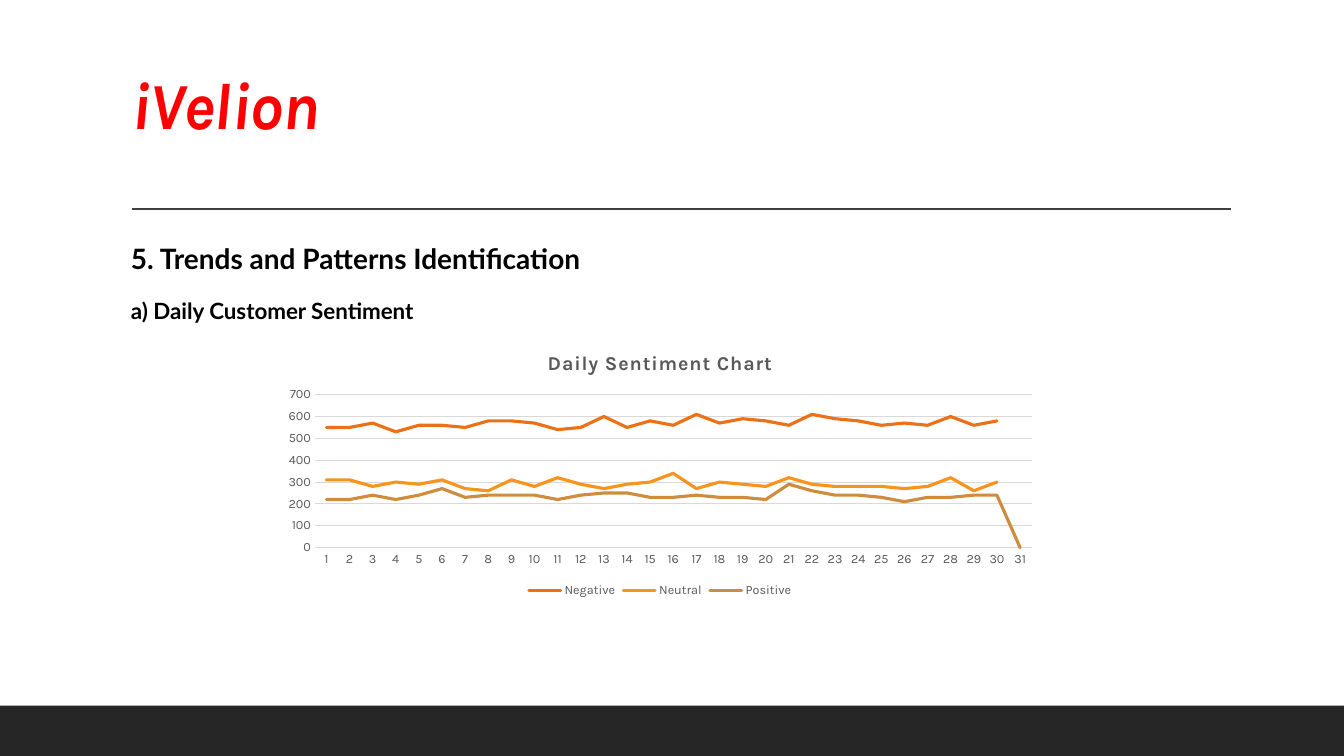
import pptx
import pptx.chart.data
import pptx.dml.color
import pptx.enum.chart
import pptx.enum.shapes
import pptx.enum.text
import pptx.oxml
import pptx.util
from dataclasses import dataclass
from pptx.util import Cm, Pt


@dataclass(frozen=True)
class Theme:
    red: str = "FF0000"
    black: str = "000000"
    band: str = "262626"
    rule: str = "404040"
    grey: str = "595959"
    grid: str = "D9D9D9"
    lines: tuple = ("EC7016", "F8931D", "CE8D3E")
    head: str = "Karla"
    body: str = "Lato"
    title: float = 47
    topic: float = 20
    sub: float = 16
    chart: float = 14
    label: float = 9


theme = Theme()


def rgb(code):
    return pptx.dml.color.RGBColor.from_string(code)


def style(font, name, size, color, bold=False):
    font.name, font.size, font.bold = name, Pt(size), bold
    font.color.rgb = rgb(color)


deck = pptx.Presentation()
deck.slide_width, deck.slide_height = Cm(33.87), Cm(19.05)
slide = deck.slides.add_slide(deck.slide_layouts[5])
shapes = slide.shapes

# Footer band and rule
band = shapes.add_shape(pptx.enum.shapes.MSO_SHAPE.RECTANGLE,
                        0, Cm(17.78), deck.slide_width, Cm(1.27))
band.shadow.inherit = False
band.fill.solid()
band.fill.fore_color.rgb = rgb(theme.band)
band.line.fill.background()

rule = shapes.add_connector(pptx.enum.shapes.MSO_CONNECTOR.STRAIGHT,
                            Cm(3.33), Cm(5.27), Cm(31.01), Cm(5.27))
rule.line.color.rgb = rgb(theme.rule)
rule.line.width = Pt(1)
rule._element.spPr.append(pptx.oxml.parse_xml(
    '<a:effectLst xmlns:a="http://schemas.openxmlformats.org/drawingml/2006/main"/>'))

# Title
title = shapes.title
title.left, title.top, title.width, title.height = Cm(3.05), Cm(0.79), Cm(27.94), Cm(2.97)
frame = title.text_frame
frame.text = "iVelion"
frame.word_wrap = True
frame.auto_size = pptx.enum.text.MSO_AUTO_SIZE.NONE
frame.vertical_anchor = pptx.enum.text.MSO_ANCHOR.BOTTOM
para = frame.paragraphs[0]
para.alignment = pptx.enum.text.PP_ALIGN.LEFT
para.line_spacing = 0.9
style(para.font, theme.head, theme.title, theme.red, True)
para.font.italic = True
para.runs[0].font._element.set("spc", "-50")

# Headings
frame = shapes.add_textbox(Cm(3.3), Cm(5.87), Cm(28), Cm(2.6)).text_frame
frame.word_wrap = True
frame.margin_left = frame.margin_right = 0
frame.text = "5. Trends and Patterns Identification\na) Daily Customer Sentiment"
for para, size, gap in zip(frame.paragraphs, (theme.topic, theme.sub), (0, 12)):
    para.line_spacing = 1.1
    para.space_before, para.space_after = Pt(gap), Pt(2)
    style(para.font, theme.body, size, theme.black, True)

# Daily sentiment chart
moods = {
    "Negative": (550, 550, 570, 530, 560, 560, 550, 580, 580, 570, 540, 550, 600, 550, 580, 560,
                 610, 570, 590, 580, 560, 610, 590, 580, 560, 570, 560, 600, 560, 580, None),
    "Neutral": (310, 310, 280, 300, 290, 310, 270, 260, 310, 280, 320, 290, 270, 290, 300, 340,
                270, 300, 290, 280, 320, 290, 280, 280, 280, 270, 280, 320, 260, 300, None),
    "Positive": (220, 220, 240, 220, 240, 270, 230, 240, 240, 240, 220, 240, 250, 250, 230, 230,
                 240, 230, 230, 220, 290, 260, 240, 240, 230, 210, 230, 230, 240, 240, 0),
}
data = pptx.chart.data.CategoryChartData()
data.categories = [str(day) for day in range(1, 32)]
for name, counts in moods.items():
    data.add_series(name, counts)
chart = shapes.add_chart(pptx.enum.chart.XL_CHART_TYPE.LINE,
                         Cm(6.88), Cm(8.48), Cm(19.51), Cm(6.68), data).chart
style(chart.font, theme.head, theme.label, theme.grey)

chart.has_title = True
frame = chart.chart_title.text_frame
frame.text = "Daily Sentiment Chart"
style(frame.paragraphs[0].font, theme.head, theme.chart, theme.grey, True)
frame.paragraphs[0].runs[0].font._element.set("spc", "50")
chart.chart_title.include_in_layout = False

chart.has_legend = True
chart.legend.position = pptx.enum.chart.XL_LEGEND_POSITION.BOTTOM
chart.legend.include_in_layout = False

days, scale = chart.category_axis, chart.value_axis
for axis in (days, scale):
    axis.major_tick_mark = axis.minor_tick_mark = pptx.enum.chart.XL_TICK_MARK.NONE
    style(axis.tick_labels.font, theme.head, theme.label, theme.grey)
scale.minimum_scale, scale.maximum_scale, scale.major_unit = 0, 700, 100
scale.format.line.fill.background()
for line in (days.format.line, scale.major_gridlines.format.line):
    line.color.rgb = rgb(theme.grid)
    line.width = Pt(0.75)

plot = chart.plots[0]
plot.vary_by_categories = False
for mood, color in zip(plot.series, theme.lines):
    mood.smooth = False
    mood.marker.style = pptx.enum.chart.XL_MARKER_STYLE.NONE
    mood.format.line.color.rgb = rgb(color)
    mood.format.line.width = Pt(2.25)
    mood.format.line._ln.set("cap", "rnd")

deck.save("out.pptx")
